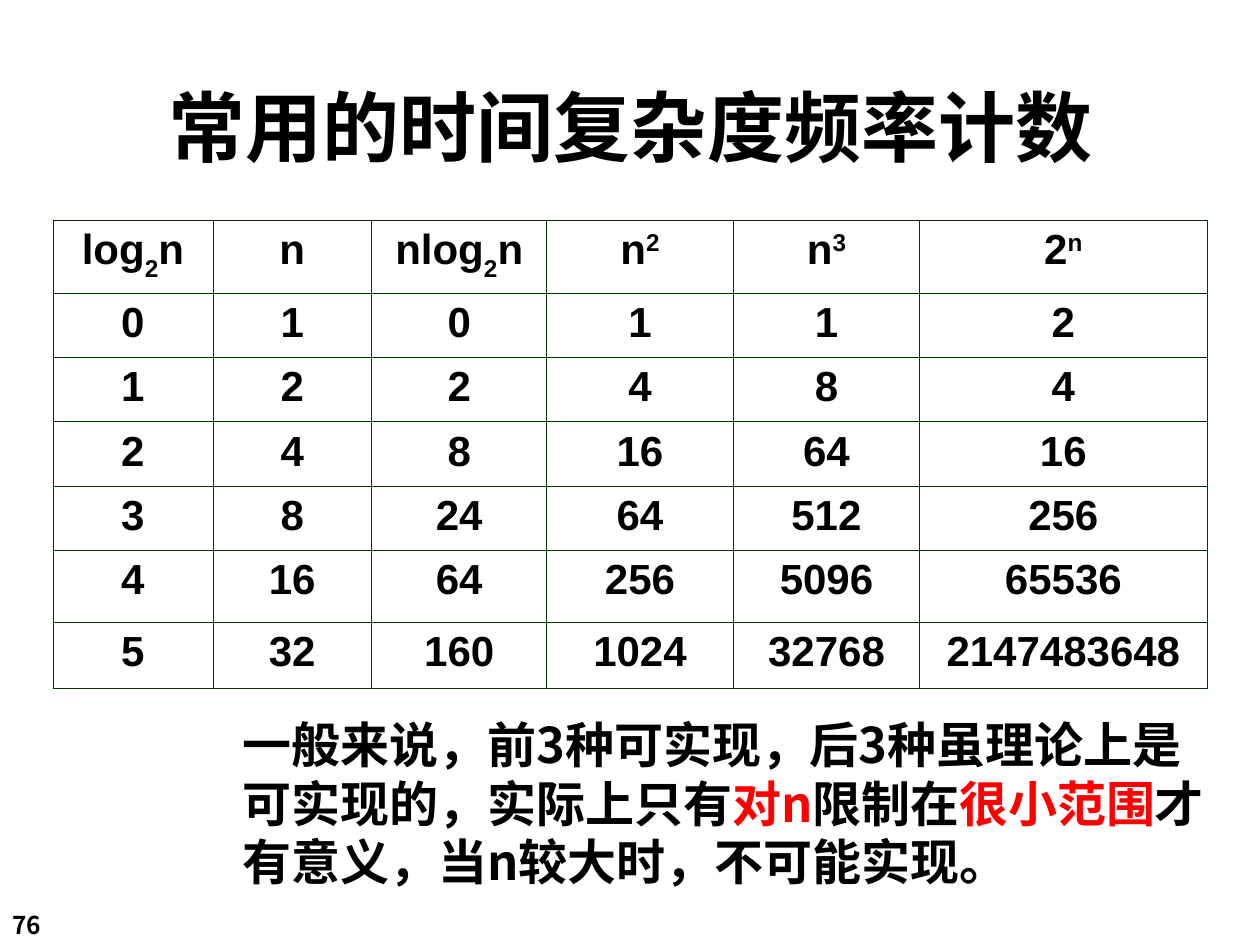
from dataclasses import dataclass
from lxml import etree
from pptx import Presentation
from pptx import util as u
from pptx.dml import color
from pptx.enum import text
from pptx.oxml import ns


@dataclass(frozen=True)
class Theme:
    """Hold the fonts, colours and type sizes."""
    han: str = "Noto Sans CJK SC"
    latin: str = "Arial"
    ink: str = "000000"
    key: str = "FF0000"
    rule: str = "003300"
    line: float = 0.45
    head: int = 44
    body: int = 28
    cell: int = 24
    foot: int = 14


THEME = Theme()
WIDE, HIGH = u.Inches(10), u.Inches(7.5)
COLS = (1.27, 1.26, 1.39, 1.48, 1.48, 2.28)
ROWS = (0.58, 0.51, 0.51, 0.51, 0.51, 0.57, 0.53)
SUB, SUP = -30, 30
HEADS = (
    (("log", 0), ("2", SUB), ("n", 0)),
    (("n", 0),),
    (("nlog", 0), ("2", SUB), ("n", 0)),
    (("n", 0), ("2", SUP)),
    (("n", 0), ("3", SUP)),
    (("2", 0), ("n", SUP)),
)
COUNTS = (
    (0, 1, 0, 1, 1, 2),
    (1, 2, 2, 4, 8, 4),
    (2, 4, 8, 16, 64, 16),
    (3, 8, 24, 64, 512, 256),
    (4, 16, 64, 256, 5096, 65536),
    (5, 32, 160, 1024, 32768, 2147483648),
)
NOTE = (
    ("一般来说，前3种可实现，后3种虽理论上是可实现的，实际上只有", THEME.ink),
    ("对n", THEME.key),
    ("限制在", THEME.ink),
    ("很小范围", THEME.key),
    ("才有意义，当n较大时，不可能实现。", THEME.ink),
)


def add_run(para, words, size, face, tint=THEME.ink, base=0):
    """Append one bold run, raised or lowered by base per cent."""
    run = para.add_run()
    run.text = words
    font = run.font
    font.size, font.bold, font.name = u.Pt(size), True, face
    font.color.rgb = color.RGBColor.from_string(tint)
    props = font._element
    etree.SubElement(props, ns.qn("a:ea"), typeface=face)
    if base:
        props.set("baseline", str(base * 1000))


def add_text(slide, box, runs, size, lead=None, top=0.05, align=None,
             anchor=text.MSO_ANCHOR.TOP):
    """Add a wrapped text box placed by shares of the slide's size."""
    x, y, w, h = box
    shape = slide.shapes.add_textbox(
        int(x * WIDE), int(y * HIGH), int(w * WIDE), int(h * HIGH))
    frame = shape.text_frame
    frame.word_wrap = True
    frame.vertical_anchor = anchor
    frame.margin_top = u.Inches(top)
    para = frame.paragraphs[0]
    para.alignment = align
    if lead:
        para.line_spacing = u.Pt(lead)
    for words, tint in runs:
        add_run(para, words, size, THEME.han, tint)


def add_rules(cell):
    """Draw a thin line on each side of a cell."""
    props = cell._tc.get_or_add_tcPr()
    for spot, side in enumerate(("lnL", "lnR", "lnT", "lnB")):
        line = etree.Element(ns.qn(f"a:{side}"), w=str(u.Pt(THEME.line)))
        fill = etree.SubElement(line, ns.qn("a:solidFill"))
        etree.SubElement(fill, ns.qn("a:srgbClr"), val=THEME.rule)
        props.insert(spot, line)


def fill_cell(cell, runs):
    """Write centred runs into a clear, ruled cell."""
    cell.fill.background()
    add_rules(cell)
    para = cell.text_frame.paragraphs[0]
    para.alignment = text.PP_ALIGN.CENTER
    for words, base in runs:
        add_run(para, words, THEME.cell, THEME.latin, base=base)


def add_grid(slide, left, top):
    """Add the table of growth rates at shares of the slide's size."""
    grid = slide.shapes.add_table(
        len(ROWS), len(COLS), int(left * WIDE), int(top * HIGH),
        u.Inches(sum(COLS)), u.Inches(sum(ROWS))).table
    grid.first_row = grid.horz_banding = False
    for col, size in zip(grid.columns, COLS):
        col.width = u.Inches(size)
    for row, size in zip(grid.rows, ROWS):
        row.height = u.Inches(size)
    lines = [HEADS] + [[((str(n), 0),) for n in row] for row in COUNTS]
    for row, line in zip(grid.rows, lines):
        for cell, runs in zip(row.cells, line):
            fill_cell(cell, runs)


def main():
    """Build and save the slide."""
    deck = Presentation()
    deck.slide_width, deck.slide_height = WIDE, HIGH
    slide = deck.slides.add_slide(deck.slide_layouts[6])
    add_text(slide, (0, 0.956, 0.083, 0.045), [("76", THEME.ink)],
             THEME.foot, lead=17)
    add_text(slide, (0.042, 0.067, 0.917, 0.133),
             [("常用的时间复杂度频率计数", THEME.ink)], THEME.head,
             align=text.PP_ALIGN.CENTER, anchor=text.MSO_ANCHOR.MIDDLE)
    add_text(slide, (0.183, 0.744, 0.783, 0.2), NOTE, THEME.body,
             lead=33.6, top=0.09)
    add_grid(slide, 0.042, 0.233)
    deck.save("out.pptx")


if __name__ == "__main__":
    main()
